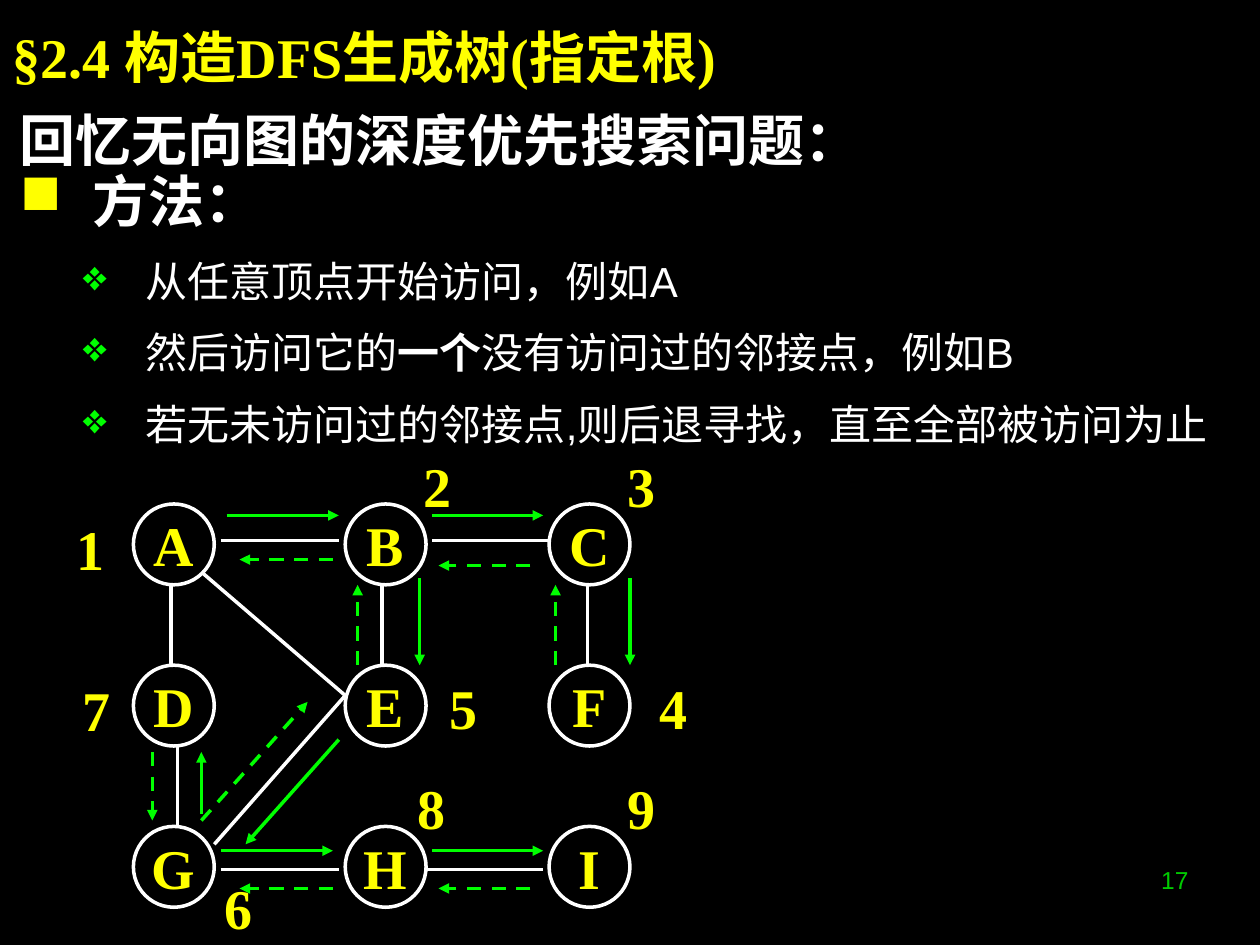
from dataclasses import dataclass
from lxml import etree
from pptx import Presentation
from pptx.dml.color import RGBColor
from pptx.enum.dml import MSO_LINE
from pptx.enum.shapes import MSO_CONNECTOR, MSO_SHAPE
from pptx.enum.text import MSO_ANCHOR, PP_ALIGN
from pptx.oxml.ns import qn
from pptx.util import Cm, Pt

DASH = MSO_LINE.DASH
STRAIGHT = MSO_CONNECTOR.STRAIGHT
OVAL = MSO_SHAPE.OVAL
TOP, MIDDLE = MSO_ANCHOR.TOP, MSO_ANCHOR.MIDDLE
LEFT, CENTER, RIGHT = PP_ALIGN.LEFT, PP_ALIGN.CENTER, PP_ALIGN.RIGHT
BLACK, WHITE, YELLOW, GREEN = "000000", "FFFFFF", "FFFF00", "00FF00"
SERIF, SANS = "Times New Roman", "Arial"
NODE, STEP = 1.63, 1.5


@dataclass
class Run:
    text: str
    size: float = 32
    color: str = YELLOW
    font: str = SERIF
    bold: bool = True


@dataclass
class Item:
    runs: list[Run]
    margin: float = 1.47
    hang: float = 1.47
    bullet: str = ""
    tint: str = GREEN
    before: float = 0
    pitch: float = 1


@dataclass
class Edge:
    x1: float
    y1: float
    x2: float
    y2: float
    dash: bool = False


@dataclass
class Step:
    text: str
    x: float
    y: float


def rgb(code: str) -> RGBColor:
    return RGBColor.from_string(code)


def write(para, runs: list[Run]) -> None:
    for part in runs:
        run = para.add_run()
        run.text = part.text
        font = run.font
        font.size, font.name, font.bold = Pt(part.size), part.font, part.bold
        font.color.rgb = rgb(part.color)


def label(shape, run: Run, align=CENTER, anchor=MIDDLE, wrap: bool = False) -> None:
    frame = shape.text_frame
    frame.word_wrap, frame.vertical_anchor = wrap, anchor
    para = frame.paragraphs[0]
    para.alignment = align
    write(para, [run])


def box(shapes, x: float, y: float, w: float, h: float):
    return shapes.add_textbox(Cm(x), Cm(y), Cm(w), Cm(h))


def fill_list(shape, items: list[Item]) -> None:
    frame = shape.text_frame
    frame.word_wrap = True
    for i, item in enumerate(items):
        para = frame.add_paragraph() if i else frame.paragraphs[0]
        para.line_spacing, para.space_before = item.pitch, Pt(item.before)
        props = para._p.get_or_add_pPr()
        props.set("marL", str(Cm(item.margin)))
        props.set("indent", str(-Cm(item.hang)))
        if item.bullet:
            tint = etree.SubElement(props, qn("a:buClr"))
            etree.SubElement(tint, qn("a:srgbClr"), val=item.tint)
            etree.SubElement(props, qn("a:buChar"), char=item.bullet)
        write(para, item.runs)


def node(shapes, name: str, x: float, y: float) -> None:
    oval = shapes.add_shape(OVAL, Cm(x), Cm(y), Cm(NODE), Cm(NODE))
    oval.shadow.inherit = False
    oval.fill.background()
    oval.line.color.rgb = rgb(WHITE)
    oval.line.width = Pt(2)
    label(oval, Run(name))


def link(shapes, edge: Edge, color: str, arrow: bool) -> None:
    ends = [Cm(v) for v in (edge.x1, edge.y1, edge.x2, edge.y2)]
    conn = shapes.add_connector(STRAIGHT, *ends)
    conn.line.color.rgb = rgb(color)
    conn.line.width = Pt(2)
    if edge.dash:
        conn.line.dash_style = DASH
    props = conn.element.spPr
    if arrow:
        etree.SubElement(props.find(qn("a:ln")), qn("a:tailEnd"), type="triangle")
    etree.SubElement(props, qn("a:effectLst"))


def point(*texts: str) -> Item:
    runs = [Run(t, 24, WHITE, SANS, i == 1) for i, t in enumerate(texts)]
    return Item(runs, 2.54, 1.27, "❖", before=12)


def head(text: str, bullet: str = "") -> Item:
    return Item([Run(text, 32, WHITE, SANS)], bullet=bullet, tint=YELLOW, pitch=0.9)


COLS, ROWS = (2.69, 6.96, 11.07), (10.16, 13.41, 16.66)
ITEMS = [
    head("回忆无向图的深度优先搜索问题："),
    head("方法：", "■"),
    point("从任意顶点开始访问，例如A"),
    point("然后访问它的", "一个", "没有访问过的邻接点，例如B"),
    point("若无未访问过的邻接点,则后退寻找，直至全部被访问为止"),
]
EDGES = [
    Edge(4.45, 10.9, 6.83, 10.9), Edge(8.71, 10.9, 11.07, 10.9),
    Edge(4.45, 17.53, 6.83, 17.53), Edge(8.59, 17.53, 10.95, 17.53),
    Edge(3.45, 11.79, 3.45, 13.41), Edge(7.7, 11.79, 7.7, 13.41),
    Edge(11.84, 11.79, 11.84, 13.41), Edge(3.58, 15.01, 3.58, 16.66),
    Edge(4.06, 11.53, 6.96, 14.02), Edge(6.96, 14.02, 4.32, 17.02),
]
MOVES = [
    Edge(4.57, 10.39, 6.83, 10.39), Edge(8.71, 10.39, 10.95, 10.39),
    Edge(12.7, 11.66, 12.7, 13.41), Edge(11.2, 13.41, 11.2, 11.79, True),
    Edge(10.69, 11.4, 8.84, 11.4, True), Edge(8.46, 11.66, 8.46, 13.41),
    Edge(6.83, 14.91, 4.95, 17.02), Edge(4.06, 16.41, 4.06, 15.16),
    Edge(3.07, 15.16, 3.07, 16.54, True), Edge(4.45, 17.15, 6.71, 17.15),
    Edge(8.71, 17.15, 10.95, 17.15), Edge(10.69, 17.91, 8.84, 17.91, True),
    Edge(6.71, 17.91, 4.83, 17.91, True), Edge(4.06, 16.54, 6.2, 14.15, True),
    Edge(7.21, 13.41, 7.21, 11.79, True), Edge(6.71, 11.28, 4.83, 11.28, True),
]
STEPS = [
    Step("1", 1.07, 10.29), Step("2", 8.08, 9.02), Step("3", 12.19, 9.02),
    Step("4", 12.83, 13.51), Step("5", 8.59, 13.51), Step("6", 4.06, 17.53),
    Step("7", 1.19, 13.54), Step("8", 7.95, 15.52), Step("9", 12.19, 15.52),
]


def main() -> None:
    """Build the slide on the DFS spanning tree."""
    deck = Presentation()
    deck.slide_width, deck.slide_height = Cm(25.4), Cm(19.05)
    slide = deck.slides.add_slide(deck.slide_layouts[6])
    back = slide.background.fill
    back.solid()
    back.fore_color.rgb = rgb(BLACK)
    shapes = slide.shapes
    title = box(shapes, 0, 0, 22.86, 2.26)
    label(title, Run("§2.4 构造DFS生成树(指定根)"), LEFT, wrap=True)
    fill_list(box(shapes, 0.15, 2.16, 25.25, 16.89), ITEMS)
    for i, name in enumerate("ABCDEFGHI"):
        node(shapes, name, COLS[i % 3], ROWS[i // 3])
    for edge in EDGES:
        link(shapes, edge, WHITE, False)
    for move in MOVES:
        link(shapes, move, GREEN, True)
    for step in STEPS:
        label(box(shapes, step.x, step.y, STEP, STEP), Run(step.text))
    page = box(shapes, 18.29, 17.32, 5.92, 1.32)
    label(page, Run("17", 14, "00CC00", SANS, False), RIGHT, TOP, True)
    deck.save("out.pptx")


main()
